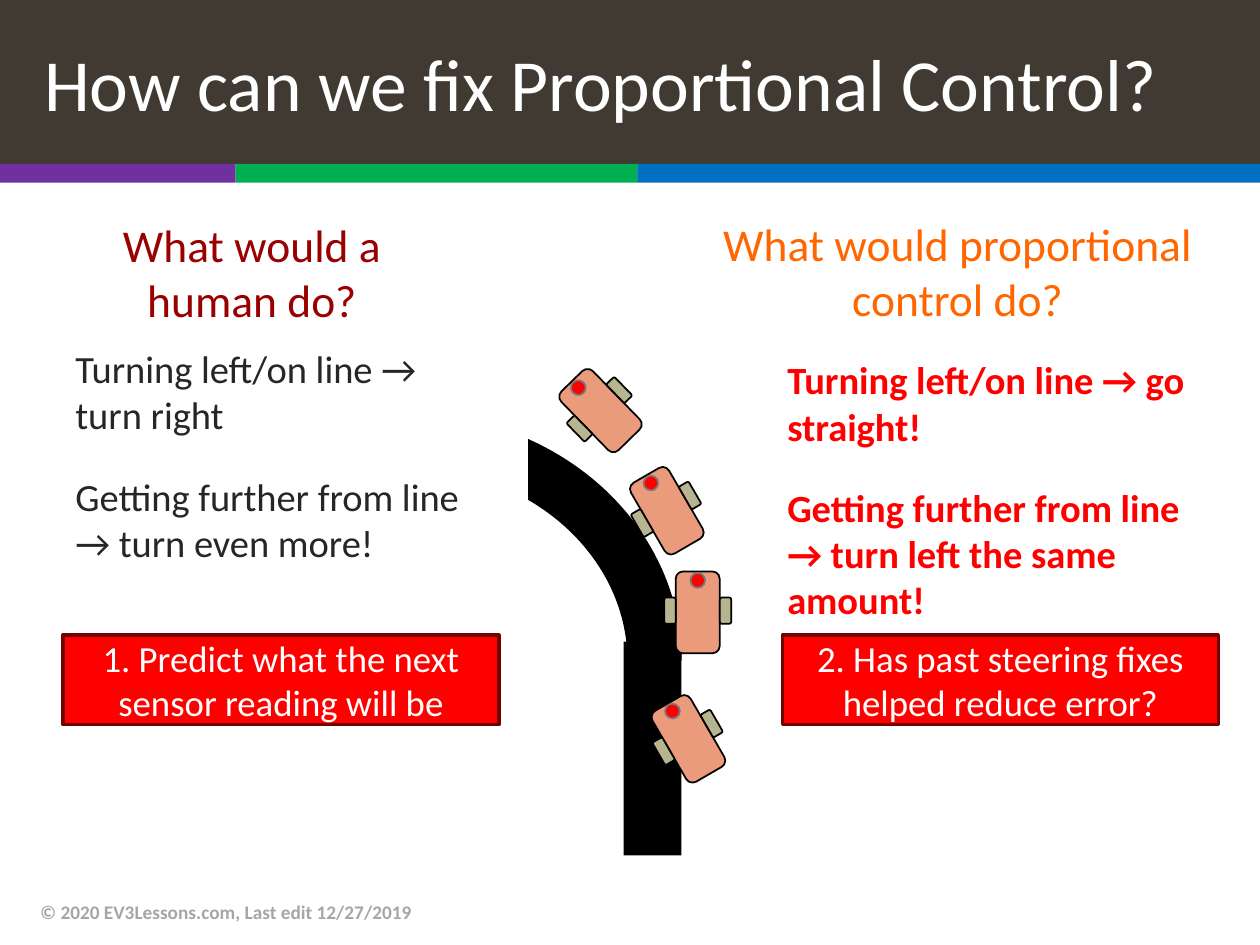
from lxml import etree
from pptx import Presentation, util as u
from pptx.dml.color import RGBColor
from pptx.enum import shapes, text

FONT = "Calibri"
BLACK = RGBColor(0x00, 0x00, 0x00)
WHITE = RGBColor(0xFF, 0xFF, 0xFF)
RED = RGBColor(0xFF, 0x00, 0x00)
BROWN = RGBColor(0x41, 0x3A, 0x33)
PURPLE = RGBColor(0x70, 0x30, 0xA0)
GREEN = RGBColor(0x00, 0xB0, 0x50)
BLUE = RGBColor(0x00, 0x70, 0xC0)
MAROON = RGBColor(0x99, 0x00, 0x00)
DARK_RED = RGBColor(0x71, 0x00, 0x00)
ORANGE = RGBColor(0xFF, 0x66, 0x00)
INK = RGBColor(0x26, 0x26, 0x26)
PALE_GRAY = RGBColor(0xA6, 0xA6, 0xA6)
MID_GRAY = RGBColor(0x77, 0x77, 0x77)
SALMON = RGBColor(0xEA, 0x9B, 0x7C)
KHAKI = RGBColor(0xB6, 0xB5, 0x90)

# The slide is a grid of 100 columns by 75 rows of square cells.
COLUMNS, ROWS = 100, 75
CELL = u.Inches(0.1)
Shape = shapes.MSO_SHAPE
Anchor = text.MSO_ANCHOR
Align = text.PP_ALIGN


def cells(*counts):
    return [round(count * CELL) for count in counts]


def write(holder, paragraphs, size, color, bold=False, align=Align.LEFT,
          anchor=Anchor.TOP, gap=0, indent=0):
    """Fill a shape with paragraphs; gap is the space between them in points."""
    frame = holder.text_frame
    frame.word_wrap = True
    frame.auto_size = text.MSO_AUTO_SIZE.NONE
    frame.vertical_anchor = anchor
    for index, wording in enumerate(paragraphs):
        paragraph = frame.add_paragraph() if index else frame.paragraphs[0]
        if indent:
            properties = paragraph._p.get_or_add_pPr()
            properties.set("marL", str(indent))
            properties.set("indent", "0")
        paragraph.text = wording
        paragraph.alignment = align
        paragraph.space_before = u.Pt(gap if index else 0)
        font = paragraph.font
        font.name, font.size, font.bold = FONT, u.Pt(size), bold
        font.color.rgb = color


def add_text(slide, box, paragraphs, **style):
    write(slide.shapes.add_textbox(*cells(*box)), paragraphs, **style)


def draw(parent, preset, box, fill=None, line=None, width=1):
    shape = parent.shapes.add_shape(preset, *cells(*box))
    shape.shadow.inherit = False
    if fill is None:
        shape.fill.background()
    else:
        shape.fill.solid()
        shape.fill.fore_color.rgb = fill
    if line is None:
        shape.line.fill.background()
    else:
        shape.line.color.rgb = line
        shape.line.width = u.Pt(width)
    return shape


def add_header(slide, box):
    """Title band with a three-colour stripe along its foot."""
    left, top, width, height = box
    band, stripe = 13, height - 13
    title = slide.shapes.title
    title.left, title.top, title.width, title.height = cells(left, top, width, band)
    title.fill.solid()
    title.fill.fore_color.rgb = BROWN
    write(title, ["How can we fix Proportional Control?"], size=42, color=WHITE,
          anchor=Anchor.MIDDLE, indent=u.Inches(0.25))
    edges = [0, 0.187, 0.506, 1]
    for start, end, color in zip(edges, edges[1:], (PURPLE, GREEN, BLUE)):
        draw(slide, Shape.RECTANGLE,
             (left + start * width, top + band, (end - start) * width, stripe), color)


def add_robot(slide, center, angle):
    """Robot with two wheels and a front sensor, turned about its centre."""
    width, height = 5.3, 6.5
    left, top = center[0] - width / 2, center[1] - height / 2
    robot = slide.shapes.add_group_shape()
    wheel = (Shape.ROUNDED_RECTANGLE, 0.17, 0.32, KHAKI, BLACK)
    parts = [
        (0.17, 0, Shape.ROUNDED_RECTANGLE, 0.66, 1, SALMON, BLACK),
        (0.83, 0.32, *wheel),
        (0, 0.32, *wheel),
        (0.39, 0.02, Shape.OVAL, 0.22, 0.18, RED, MID_GRAY),
    ]
    for x, y, preset, across, down, fill, line in parts:
        draw(robot, preset, (left + x * width, top + y * height,
                             across * width, down * height), fill, line)
    robot.rotation = angle


def add_track(slide, box):
    """Curved line to follow, with four robot positions along it."""
    left, top, width, height = box
    draw(slide, Shape.RECTANGLE, (left + 0.8 * width, top + 0.56 * height,
                                  0.187 * width, 0.44 * height), BLACK)
    curve = (left - 0.73 * width, top + 0.145 * height, 1.63 * width, 0.91 * height)
    draw(slide, Shape.ARC, curve, line=BLACK, width=31)
    draw(slide, Shape.RECTANGLE, (left - 0.09 * width, top - 0.033 * height,
                                  0.575 * width, 0.325 * height), WHITE, WHITE, 2)
    stops = [(1.01, 0.76, 330), (1.04, 0.5, 0), (0.94, 0.291, 330), (0.725, 0.085, 315.8)]
    for x, y, angle in stops:
        add_robot(slide, (left + x * width, top + y * height), angle)


def add_idea(slide, box, wording):
    idea = draw(slide, Shape.RECTANGLE, box, RED, DARK_RED, 2)
    write(idea, [wording], size=21, color=WHITE, align=Align.CENTER,
          anchor=Anchor.MIDDLE)


def add_answer(slide, heading_box, body_box, idea_box, heading, heading_color,
               behaviors, idea, **body_style):
    """Heading, observed behaviours and the idea that follows from them."""
    add_text(slide, heading_box, [heading], size=26, color=heading_color,
             align=Align.CENTER, anchor=Anchor.BOTTOM)
    add_text(slide, body_box, behaviors, size=22, gap=20, **body_style)
    add_idea(slide, idea_box, idea)


def main():
    deck = Presentation()
    deck.slide_width, deck.slide_height = cells(COLUMNS, ROWS)
    slide = deck.slides.add_slide(deck.slide_layouts[5])
    add_header(slide, (0, 0, COLUMNS, 14.5))
    add_track(slide, (29.9, 29.3, 24.5, 38.6))
    add_answer(
        slide, (5, 21.7, 30, 4.7), (5, 26.9, 34.6, 24.1), (5, 50.4, 34.6, 7.1),
        "What would a human do?", MAROON,
        ["Turning left/on line → turn right",
         "Getting further from line → turn even more!"],
        "1. Predict what the next sensor reading will be", color=INK)
    add_answer(
        slide, (55.1, 21.6, 41.8, 4.7), (61.5, 27.8, 33.9, 24.1), (62.1, 50.4, 34.6, 7.1),
        "What would proportional control do?", ORANGE,
        ["Turning left/on line → go straight!",
         "Getting further from line → turn left the same amount!"],
        "2. Has past steering fixes helped reduce error?", color=RED, bold=True)
    add_text(slide, (2.2, 70.4, 67, 4), ["© 2020 EV3Lessons.com, Last edit 12/27/2019"],
             size=11, color=PALE_GRAY, bold=True, anchor=Anchor.MIDDLE)
    deck.save("out.pptx")


if __name__ == "__main__":
    main()
